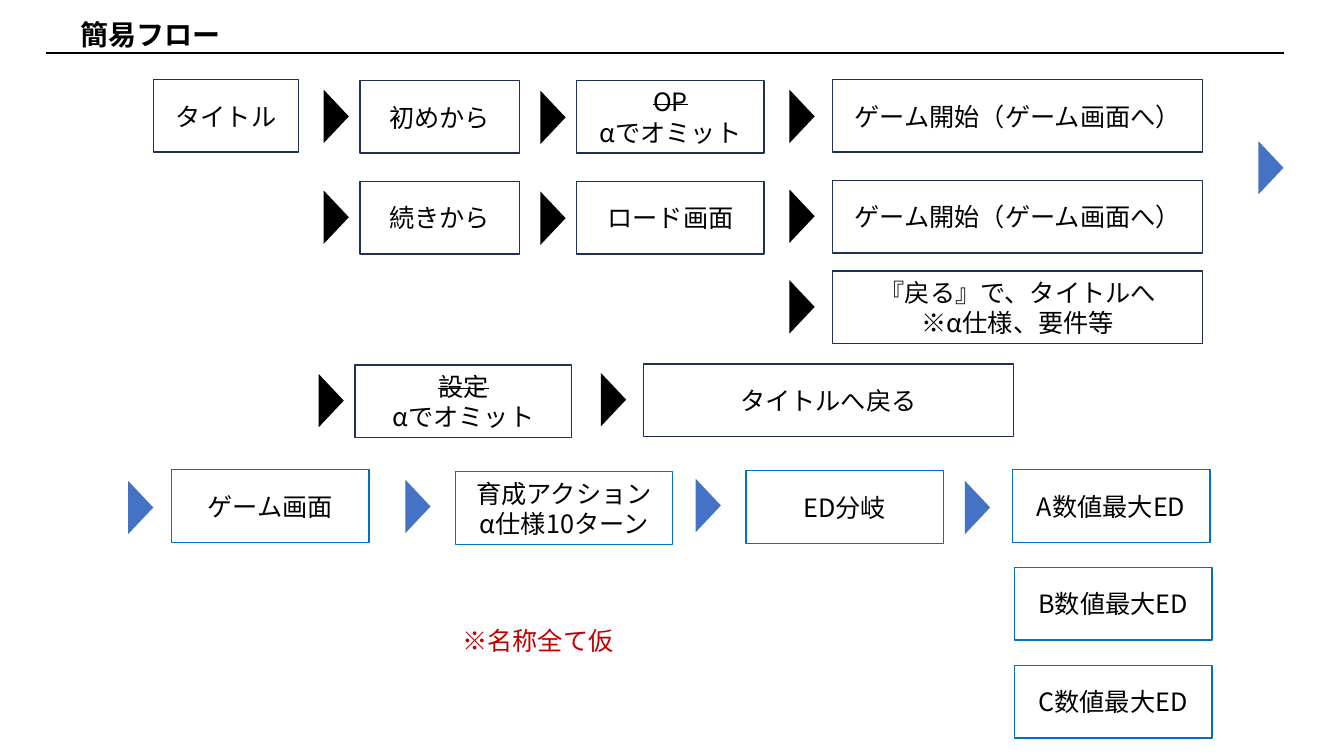
from dataclasses import dataclass
from lxml.etree import SubElement
from pptx import Presentation
from pptx.dml.color import RGBColor
from pptx.enum.shapes import MSO_CONNECTOR, MSO_SHAPE
from pptx.enum.text import MSO_ANCHOR, MSO_AUTO_SIZE, PP_ALIGN
from pptx.oxml.ns import qn
from pptx.util import Pt


@dataclass(frozen=True)
class Theme:
    font: str = "Noto Sans CJK JP"
    ink: str = "000000"
    navy: str = "1E3256"
    sky: str = "0070C0"
    blue: str = "4472C4"
    red: str = "C00000"
    head: int = 20
    body: int = 18
    rule: float = 1.5
    edge: int = 1


# Content: lengths in px, 100 to the inch
THEME = Theme()
PX = 9144
WIDE, HIGH = 1333, 750
BOX_H = 72
TIP_W, TIP_H = 53, 25

TITLE = "簡易フロー"
NOTE = "※名称全て仮"
START = "ゲーム開始（ゲーム画面へ）"
OMIT = "αでオミット"
CUT = {"OP", "設定"}  # words struck through

# Boxes: left, top, width, lines
MENU = [
    (152, 79, 144, ["タイトル"]),
    (357, 80, 158, ["初めから"]),
    (572, 80, 186, ["OP", OMIT]),
    (826, 79, 367, [START]),
    (357, 180, 158, ["続きから"]),
    (572, 180, 186, ["ロード画面"]),
    (826, 179, 367, [START]),
    (826, 269, 367, ["『戻る』で、タイトルへ", "※α仕様、要件等"]),
    (352, 362, 215, ["設定", OMIT]),
    (638, 361, 367, ["タイトルへ戻る"]),
]
GAME = [
    (170, 466, 196, ["ゲーム画面"]),
    (452, 468, 215, ["育成アクション", "α仕様10ターン"]),
    (740, 467, 196, ["ED分岐"]),
    (1004, 466, 196, ["A数値最大ED"]),
    (1006, 563, 196, ["B数値最大ED"]),
    (1006, 660, 196, ["C数値最大ED"]),
]

# Arrowheads: left, top before the quarter turn
MENU_TIPS = [(307, 103), (522, 104), (769, 103), (307, 203), (522, 204),
             (769, 202), (769, 292), (302, 385), (582, 384)]
GAME_TIPS = [(1234, 154), (113, 491), (388, 490), (676, 489), (943, 491)]

deck = Presentation()
deck.slide_width, deck.slide_height = WIDE * PX, HIGH * PX
slide = deck.slides.add_slide(deck.slide_layouts[6])
shapes = slide.shapes


def scale(*sizes):
    return [size * PX for size in sizes]


def tint(code):
    return RGBColor.from_string(code)


def write(frame, lines, color=THEME.ink, size=THEME.body,
          align=PP_ALIGN.CENTER, bold=False):
    for i, line in enumerate(lines):
        para = frame.paragraphs[0] if i == 0 else frame.add_paragraph()
        para.alignment = align
        run = para.add_run()
        run.text = line
        if line in CUT:
            run._r.get_or_add_rPr().set("strike", "sngStrike")
        font = para.font
        font.size, font.bold, font.name = Pt(size), bold, THEME.font
        font.color.rgb = tint(color)
        east = SubElement(font._element, qn("a:ea"))
        east.set("typeface", THEME.font)


def add_box(left, top, width, lines, edge):
    box = shapes.add_shape(MSO_SHAPE.RECTANGLE,
                           *scale(left, top, width, BOX_H))
    box.shadow.inherit = False
    box.fill.background()
    box.line.color.rgb = tint(edge)
    box.line.width = Pt(THEME.edge)
    box.text_frame.word_wrap = True
    box.text_frame.vertical_anchor = MSO_ANCHOR.MIDDLE
    write(box.text_frame, lines)


def add_tip(left, top, color):
    tip = shapes.add_shape(MSO_SHAPE.ISOSCELES_TRIANGLE,
                           *scale(left, top, TIP_W, TIP_H))
    tip.rotation = 90
    tip.shadow.inherit = False
    tip.fill.solid()
    tip.fill.fore_color.rgb = tint(color)
    tip.line.fill.background()


# Heading and rule
rule = shapes.add_connector(MSO_CONNECTOR.STRAIGHT,
                            *scale(46, 53, 1274, 53))
rule.line.color.rgb = tint(THEME.ink)
rule.line.width = Pt(THEME.rule)
SubElement(rule._element.spPr, qn("a:effectLst"))

head = shapes.add_textbox(*scale(70, 12, 160, 44)).text_frame
head.word_wrap = False
head.auto_size = MSO_AUTO_SIZE.SHAPE_TO_FIT_TEXT
write(head, [TITLE], size=THEME.head, align=PP_ALIGN.LEFT, bold=True)

# Menu flow in navy, game flow in blue
for boxes, edge, tips, fill in [
    (MENU, THEME.navy, MENU_TIPS, THEME.ink),
    (GAME, THEME.sky, GAME_TIPS, THEME.blue),
]:
    for box in boxes:
        add_box(*box, edge)
    for tip in tips:
        add_tip(*tip, fill)

# Note
note = shapes.add_textbox(*scale(327, 608, 413, 54)).text_frame
note.word_wrap = True
note.vertical_anchor = MSO_ANCHOR.MIDDLE
write(note, [NOTE], color=THEME.red)

deck.save("out.pptx")
